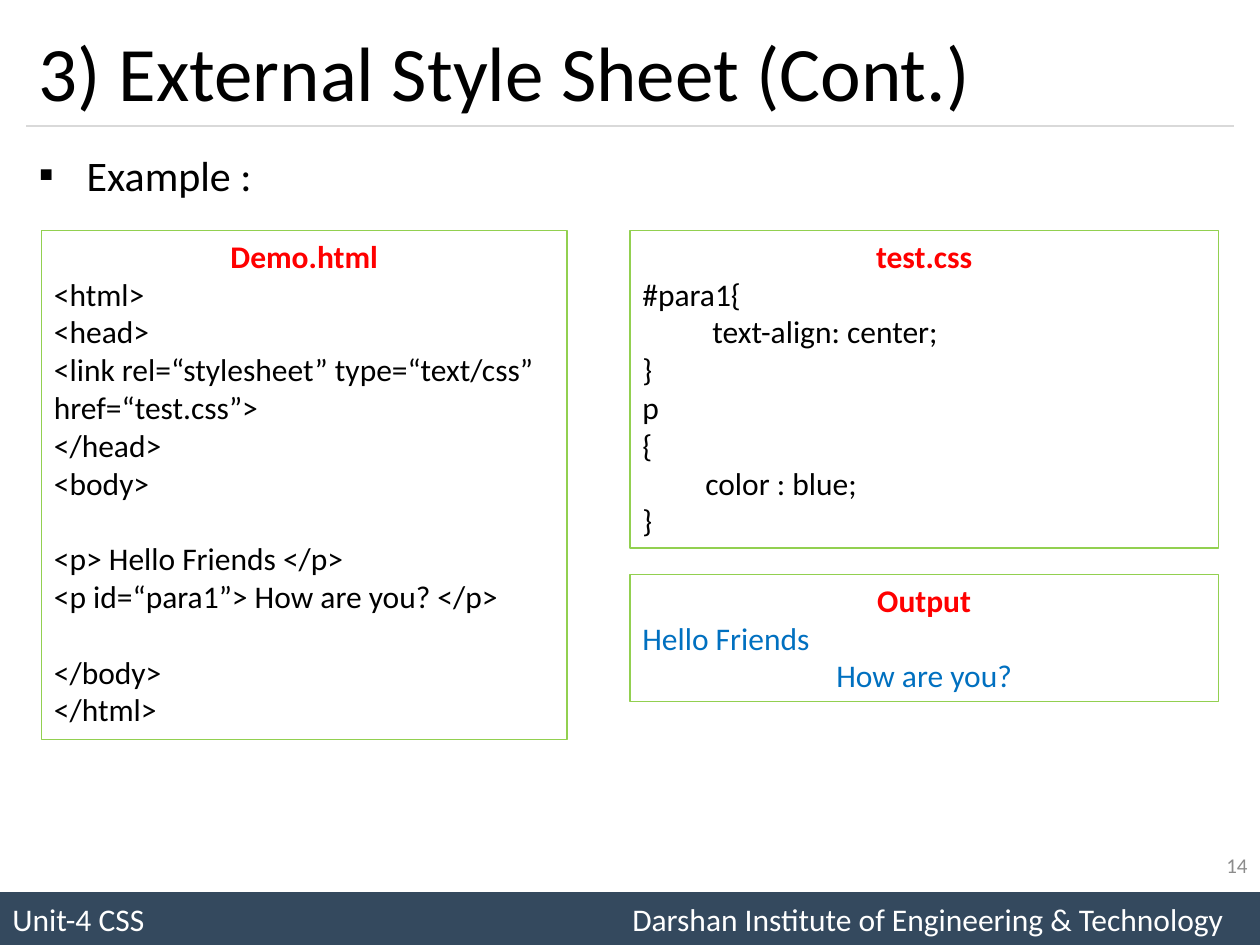
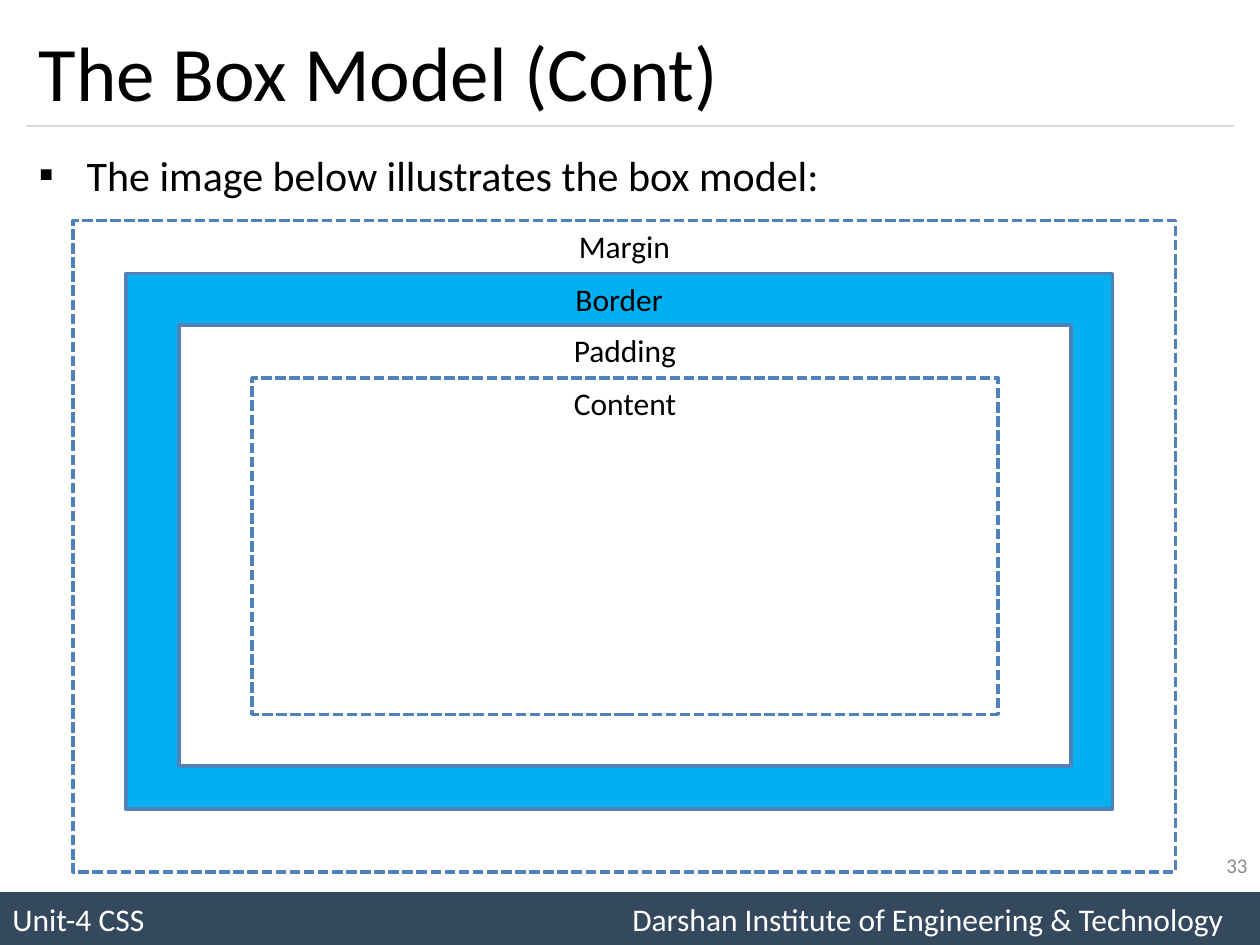
from lxml.etree import SubElement
from pptx import Presentation
from pptx.dml.color import RGBColor
from pptx.enum.dml import MSO_LINE
from pptx.enum.shapes import MSO_CONNECTOR, MSO_SHAPE
from pptx.enum.text import MSO_ANCHOR, PP_ALIGN
from pptx.oxml.ns import qn
from pptx.util import Inches, Pt

BLACK = RGBColor(0x00, 0x00, 0x00)
WHITE = RGBColor(0xFF, 0xFF, 0xFF)
NAVY = RGBColor(0x34, 0x49, 0x5E)
RULE_GRAY = RGBColor(0xD9, 0xD9, 0xD9)
NUMBER_GRAY = RGBColor(0x8C, 0x8C, 0x8C)
GREEN = RGBColor(0x92, 0xD0, 0x50)
RED = RGBColor(0xFF, 0x00, 0x00)
OUTPUT_BLUE = RGBColor(0x00, 0x70, 0xC0)
BORDER_BLUE = RGBColor(0x00, 0xB0, 0xF0)
LINE_BLUE = RGBColor(0x4F, 0x81, 0xBD)

TITLE = {"size": Pt(44), "color": BLACK}
BULLET = {"size": Pt(24), "color": BLACK}
TEXT = {"size": Pt(18), "color": BLACK}
HEADING = {"size": Pt(18), "color": RED, "bold": True}
OUTPUT = {"size": Pt(18), "color": OUTPUT_BLUE}
FOOTER = {"size": Pt(18), "color": WHITE}
NUMBER = {"size": Pt(12), "color": NUMBER_GRAY}

CENTER = {"alignment": PP_ALIGN.CENTER}
LEFT = {"alignment": PP_ALIGN.LEFT}
RIGHT = {"alignment": PP_ALIGN.RIGHT}
AFTER_GAP = {"alignment": PP_ALIGN.LEFT, "space_before": Pt(21.6)}

HTML_LINES = [
    ("<html>", LEFT),
    ("<head>", LEFT),
    ("<link rel=“stylesheet” type=“text/css” href=“test.css”>", LEFT),
    ("</head>", LEFT),
    ("<body>", LEFT),
    ("<p> Hello Friends </p>", AFTER_GAP),
    ("<p id=“para1”> How are you? </p>", LEFT),
    ("</body>", AFTER_GAP),
    ("</html>", LEFT),
]
CSS_LINES = [(line, LEFT) for line in (
    "#para1{", "\t text-align: center;", "}", "p", "{", "\tcolor : blue;", "}")]
OUTPUT_LINES = [("Hello Friends", LEFT), ("How are you?", CENTER)]

CODE_PANELS = [
    ((0.33, 1.83, 4.17, 4.04), "Demo.html", HTML_LINES, TEXT),
    ((5, 1.83, 4.67, 2.52), "test.css", CSS_LINES, TEXT),
    ((5, 4.56, 4.67, 1.01), "Output", OUTPUT_LINES, OUTPUT),
]

MODEL_LAYERS = [
    ("Margin", (0, 0, 8.75, 5.17), None, True),
    ("Border", (0.42, 0.42, 7.83, 4.25), BORDER_BLUE, False),
    ("Padding", (0.84, 0.83, 7.08, 3.5), WHITE, False),
    ("Content", (1.42, 1.25, 5.92, 2.67), None, True),
]


def write(box, lines, anchor=MSO_ANCHOR.TOP):
    """Fill a box with (text, paragraph format, font format) lines."""
    frame = box.text_frame
    frame.word_wrap = True
    frame.vertical_anchor = anchor
    for index, (text, layout, look) in enumerate(lines):
        para = frame.add_paragraph() if index else frame.paragraphs[0]
        for name, value in layout.items():
            setattr(para, name, value)
        span = para.add_run()
        span.text = text
        span.font.name = "Calibri"
        for name, value in look.items():
            if name == "color":
                span.font.color.rgb = value
            else:
                setattr(span.font, name, value)


def add_text(page, place, text, layout, look, anchor=MSO_ANCHOR.TOP):
    """Add a one-line text box and return its paragraph."""
    box = page.shapes.add_textbox(*map(Inches, place))
    write(box, [(text, layout, look)], anchor)
    return box.text_frame.paragraphs[0]


def add_box(page, place, fill=None, line=None, width=0.75, dashed=False):
    """Add a rectangle without shadow."""
    box = page.shapes.add_shape(MSO_SHAPE.RECTANGLE, *map(Inches, place))
    box.shadow.inherit = False
    if fill is None:
        box.fill.background()
    else:
        box.fill.solid()
        box.fill.fore_color.rgb = fill
    if line is None:
        box.line.fill.background()
    else:
        box.line.color.rgb = line
        box.line.width = Pt(width)
        if dashed:
            box.line.dash_style = MSO_LINE.SQUARE_DOT
    return box


def add_footer(page, number):
    """Draw the footer band and the page number above it."""
    band = add_box(page, (0, 7.08, 10, 0.42), NAVY)
    properties = band.text_frame.paragraphs[0]._p.get_or_add_pPr()
    stops = SubElement(properties, qn("a:tabLst"))
    SubElement(stops, qn("a:tab"), pos=str(Inches(4.92)), algn="l")
    text = "Unit-4 CSS\tDarshan Institute of Engineering & Technology"
    write(band, [(text, LEFT, FOOTER)], MSO_ANCHOR.MIDDLE)
    add_text(page, (7.67, 6.67, 2.33, 0.4), str(number), RIGHT, NUMBER, MSO_ANCHOR.MIDDLE)


def add_heading(page, title, bullet):
    """Draw the title, the rule under it and the bullet line."""
    rule = page.shapes.add_connector(
        MSO_CONNECTOR.STRAIGHT, *map(Inches, (0.21, 1, 9.79, 1)))
    rule.line.color.rgb = RULE_GRAY
    rule.line.width = Pt(0.75)
    SubElement(rule._element.spPr, qn("a:effectLst"))
    add_text(page, (0.21, 0.12, 9.58, 0.88), title, LEFT, TITLE, MSO_ANCHOR.MIDDLE)
    para = add_text(page, (0.21, 1.08, 9.58, 0.75), bullet, {"line_spacing": 1.14}, BULLET)
    properties = para._p.get_or_add_pPr()
    properties.set("marL", str(Inches(0.38)))
    properties.set("indent", str(-Inches(0.38)))
    SubElement(properties, qn("a:buFont"), typeface="Calibri")
    SubElement(properties, qn("a:buChar"), char="▪")


def add_code_panel(page, place, heading, lines, look):
    """Draw a framed panel with a red heading over its lines."""
    panel = add_box(page, place, line=GREEN)
    body = [(text, layout, look) for text, layout in lines]
    write(panel, [(heading, CENTER, HEADING), *body])


def add_box_model(page, left, top):
    """Draw the nested layers of the box model from a top left corner."""
    for label, (across, down, width, height), fill, dashed in MODEL_LAYERS:
        place = (left + across, top + down, width, height)
        layer = add_box(page, place, fill, LINE_BLUE, 2, dashed)
        write(layer, [(label, CENTER, TEXT)])


def add_page(deck, title, bullet, number):
    """Add a page with the shared heading and footer."""
    page = deck.slides.add_slide(deck.slide_layouts[6])
    add_footer(page, number)
    add_heading(page, title, bullet)
    return page


def main():
    """Build and save the deck."""
    deck = Presentation()
    deck.slide_width, deck.slide_height = Inches(10), Inches(7.5)
    example = add_page(deck, "3) External Style Sheet (Cont.)", "Example :", 14)
    for panel in CODE_PANELS:
        add_code_panel(example, *panel)
    model = add_page(
        deck, "The Box Model (Cont)", "The image below illustrates the box model:", 33)
    add_box_model(model, 0.58, 1.75)
    deck.save("out.pptx")


if __name__ == "__main__":
    main()
